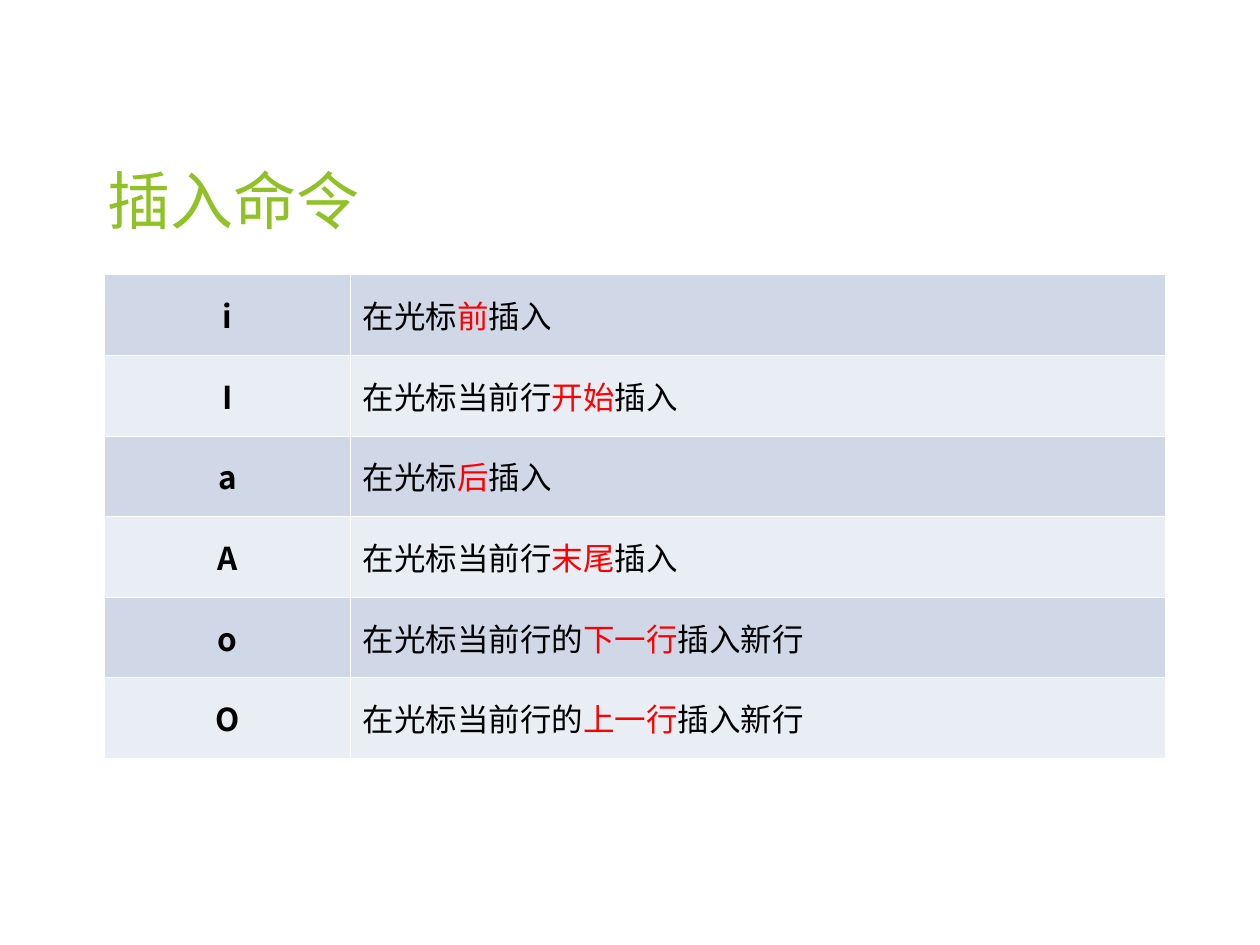
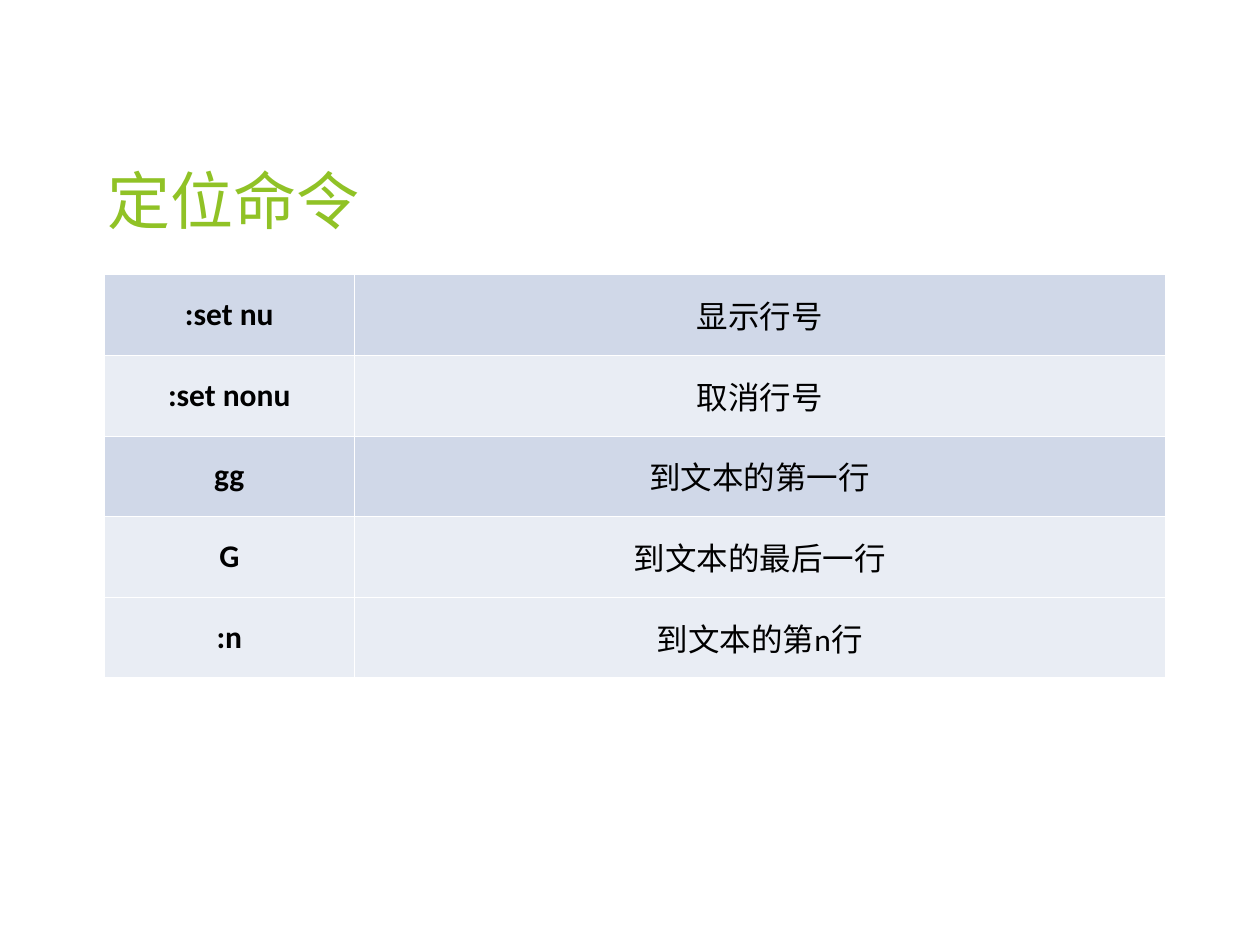
"""Build two slides of editor commands, each a title above a banded table."""
from dataclasses import dataclass

from lxml.etree import SubElement as Sub
from pptx import Presentation
from pptx.dml.color import RGBColor as RGB
from pptx.enum.text import MSO_ANCHOR as Anchor, PP_ALIGN as Align
from pptx.oxml import parse_xml
from pptx.oxml.ns import nsdecls, qn
from pptx.util import Inches, Pt

SLIDES = [
    {
        "title": "插入命令",
        "key": 1.95,
        "font": "Noto Sans CJK SC",
        "align": Align.LEFT,
        "bands": "010101",
        "rows": [
            ("i", "在光标", "前", "插入"),
            ("I", "在光标当前行", "开始", "插入"),
            ("a", "在光标", "后", "插入"),
            ("A", "在光标当前行", "末尾", "插入"),
            ("o", "在光标当前行的", "下一行", "插入新行"),
            ("O", "在光标当前行的", "上一行", "插入新行"),
        ],
    },
    {
        "title": "定位命令",
        "key": 1.98,
        "font": "Calibri",
        "align": Align.CENTER,
        "bands": "01011",
        "rows": [
            (":set nu", "显示行号"),
            (":set nonu", "取消行号"),
            ("gg", "到文本的第一行"),
            ("G", "到文本的最后一行"),
            (":n", "到文本的第n行"),
        ],
    },
]


@dataclass(frozen=True)
class Theme:
    """Colours, fonts and type sizes."""
    title: str = "90C226"
    ink: str = "000000"
    mark: str = "FF0000"
    rule: str = "FFFFFF"
    bands: tuple = ("D0D8E8", "E9EDF4")
    head: str = "Cabin"
    body: str = "Calibri"
    asian: str = "Noto Sans CJK SC"
    big: int = 36
    small: int = 18
    gap: float = 4.5
    line: float = 0.45


LOOK = Theme()
WIDE, HIGH = 10, 7.5
SPAN, ROW = 8.42, 0.64
HEAD = (0.75, 0.36, SPAN, 1.57)
LEFT, TOP = 0.83, 2.18


def write(frame, parts, font=LOOK.body, size=LOOK.small, color=LOOK.ink,
          bold=False, align=Align.LEFT, gap=0):
    """Write parts as one paragraph, with every second part marked."""
    para = frame.paragraphs[0]
    para.alignment = align
    para.space_before = Pt(gap)
    for n, part in enumerate(parts):
        run = para.add_run()
        run.text = part
        face = run.font
        face.name, face.size, face.bold = font, Pt(size), bold
        face.color.rgb = RGB.from_string(LOOK.mark if n % 2 else color)
        Sub(run._r.get_or_add_rPr(), qn("a:ea"), typeface=LOOK.asian)


def paint(cell, fill):
    """Fill a cell and rule its four sides."""
    cell.vertical_anchor = Anchor.MIDDLE
    cell.fill.solid()
    cell.fill.fore_color.rgb = RGB.from_string(fill)
    props = cell._tc.get_or_add_tcPr()
    for n, side in enumerate("LRTB"):
        props.insert(n, parse_xml(
            f'<a:ln{side} {nsdecls("a")} w="{Pt(LOOK.line)}"><a:solidFill>'
            f'<a:srgbClr val="{LOOK.rule}"/></a:solidFill></a:ln{side}>'))


def head(slide, text):
    """Place and write the title."""
    box = slide.shapes.title
    box.left, box.top, box.width, box.height = map(Inches, HEAD)
    box.text_frame.vertical_anchor = Anchor.BOTTOM
    write(box.text_frame, [text], font=LOOK.head, size=LOOK.big,
          color=LOOK.title)


def grid(slide, page):
    """Add the table of keys and their meanings."""
    rows = page["rows"]
    size = (LEFT, TOP, SPAN, ROW * len(rows))
    table = slide.shapes.add_table(len(rows), 2, *map(Inches, size)).table
    table.first_row = table.horz_banding = False
    for col, width in zip(table.columns, (page["key"], SPAN - page["key"])):
        col.width = Inches(width)
    for n, ((key, *parts), band) in enumerate(zip(rows, page["bands"])):
        table.rows[n].height = Inches(ROW)
        left, right = table.rows[n].cells
        for cell in (left, right):
            paint(cell, LOOK.bands[int(band)])
        write(left.text_frame, [key], font=page["font"], bold=True,
              align=Align.CENTER, gap=LOOK.gap)
        write(right.text_frame, parts, align=page["align"], gap=LOOK.gap)


def main():
    """Build and save the slides."""
    deck = Presentation()
    deck.slide_width, deck.slide_height = Inches(WIDE), Inches(HIGH)
    for page in SLIDES:
        slide = deck.slides.add_slide(deck.slide_layouts[5])
        head(slide, page["title"])
        grid(slide, page)
    deck.save("out.pptx")


if __name__ == "__main__":
    main()
